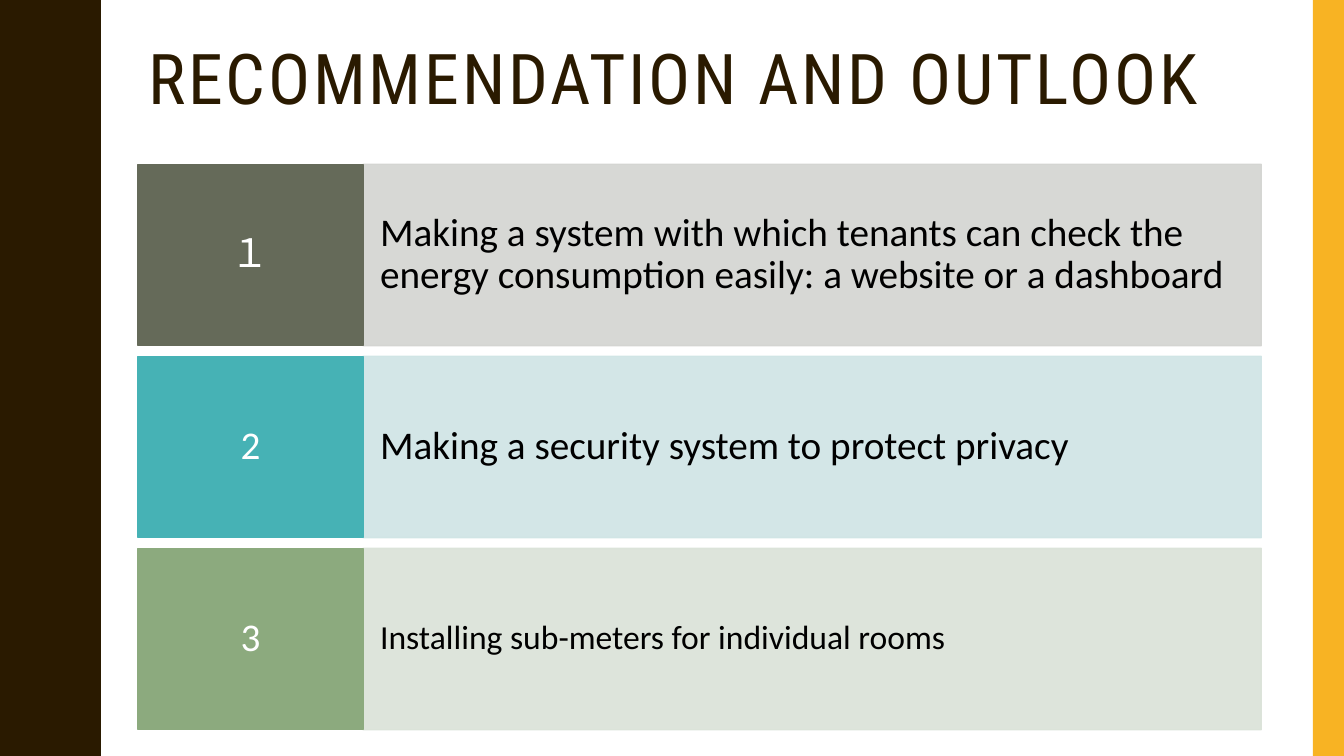
from lxml import etree
from pptx import Presentation
from pptx.dml.color import RGBColor
from pptx.enum.shapes import MSO_SHAPE
from pptx.enum.text import MSO_ANCHOR, MSO_AUTO_SIZE, PP_ALIGN
from pptx.oxml.ns import qn
from pptx.util import Inches, Pt

COLORS = {
    "dark": "2A1A00", "gold": "F8B323", "white": "FFFFFF", "black": "000000",
    "olive": "656A59", "olive_pale": "D3D4D1",
    "teal": "46B2B5", "teal_pale": "CFE4E5",
    "green": "8CAA7E", "green_pale": "DAE2D8",
}
ROWS = [
    ("\uff11", "Making a system with which tenants can check the energy "
     "consumption easily: a website or a dashboard", "olive", 28),
    ("2", "Making a security system to protect privacy", "teal", 28),
    ("3", "Installing sub-meters for individual rooms", "green", 24),
]
LEFT, NUMBER_W, TEXT_W = 1.37, 2.23, 8.91
TOP, ROW_H, ROW_STEP = 1.63, 1.8, 1.905
SLIDE_W, SLIDE_H = 13.33, 7.5

# One half of a wave, from trough to crest, as (x, y) points
HALF_WAVE = list(zip(
    (.78, .78, .79, .8, .81, .83, .85, .87, .89, .91, .93, .95, .96, .97, .97),
    (0, .07, .14, .2, .25, .29, .33, .38, .42, .46, .5, .55, .61, .68, .75)))
WAVE_H, WAVES = 1.5, 5


def rgb(name):
    """Return the named colour."""
    return RGBColor.from_string(COLORS[name])


def paint(sp, color, alpha=None, line=True):
    """Give a shape a fill and a line of one colour, without shadow."""
    sp.shadow.inherit = False
    sp.fill.solid()
    sp.fill.fore_color.rgb = rgb(color)
    if line:
        sp.line.color.rgb = rgb(color)
        sp.line.width = Pt(1)
    else:
        sp.line.fill.background()
    if alpha:
        for clr in sp._element.spPr.iter(qn("a:srgbClr")):
            etree.SubElement(clr, qn("a:alpha"), val=str(alpha * 1000))


def write(tf, text, size, color, font, align=PP_ALIGN.LEFT):
    """Write one formatted run into a text frame and return it."""
    tf.word_wrap = True
    tf.auto_size = MSO_AUTO_SIZE.NONE
    tf.vertical_anchor = MSO_ANCHOR.MIDDLE
    p = tf.paragraphs[0]
    p.alignment = align
    p.line_spacing = 0.9
    r = p.add_run()
    r.text = text
    r.font.size = Pt(size)
    r.font.name = font
    r.font.color.rgb = rgb(color)
    return r


def add_rect(slide, x, y, w, h, color, **style):
    """Add a filled rectangle."""
    sp = slide.shapes.add_shape(MSO_SHAPE.RECTANGLE, Inches(x), Inches(y),
                                Inches(w), Inches(h))
    paint(sp, color, **style)
    return sp


def add_wave(slide):
    """Add the wavy band on the left edge."""
    wave = HALF_WAVE + [(x, WAVE_H - y) for x, y in HALF_WAVE[-2::-1]]
    points = [(x, y + i * WAVE_H) for i in range(WAVES) for x, y in wave]
    fb = slide.shapes.build_freeform(0, 0, scale=Inches(1))
    fb.add_line_segments(points + [(0, SLIDE_H)], close=True)
    paint(fb.convert_to_shape(), "dark", line=False)


def add_title(slide, text):
    """Fill and place the title placeholder."""
    sp = slide.shapes.title
    sp.left, sp.top = Inches(LEFT), Inches(0)
    sp.width, sp.height = Inches(11.13), Inches(TOP)
    r = write(sp.text_frame, text, 50, "dark", "Roboto Condensed")
    r.font._element.set("spc", "200")


def set_insets(tf, side, end):
    """Set the side and the top and bottom insets of a text frame."""
    tf.margin_left = tf.margin_right = Inches(side)
    tf.margin_top = tf.margin_bottom = Inches(end)


def add_row(slide, y, number, text, color, size):
    """Add a number block and its pale text block."""
    sp = add_rect(slide, LEFT + NUMBER_W, y, TEXT_W, ROW_H,
                  color + "_pale", alpha=90)
    set_insets(sp.text_frame, 0.17, 0.46)
    write(sp.text_frame, text, size, "black", "Calibri")
    sp = add_rect(slide, LEFT, y, NUMBER_W, ROW_H, color)
    set_insets(sp.text_frame, 0.12, 0.18)
    write(sp.text_frame, number, 28, "white", "Calibri", PP_ALIGN.CENTER)


def main():
    """Build the slide and save it."""
    prs = Presentation()
    prs.slide_width, prs.slide_height = Inches(SLIDE_W), Inches(SLIDE_H)
    slide = prs.slides.add_slide(prs.slide_layouts[5])
    add_wave(slide)
    add_rect(slide, 13.02, 0, 0.31, SLIDE_H, "gold", line=False)
    add_title(slide, "RECOMMENDATION AND OUTLOOK")
    for i, row in enumerate(ROWS):
        add_row(slide, TOP + i * ROW_STEP, *row)
    prs.save("out.pptx")


main()
